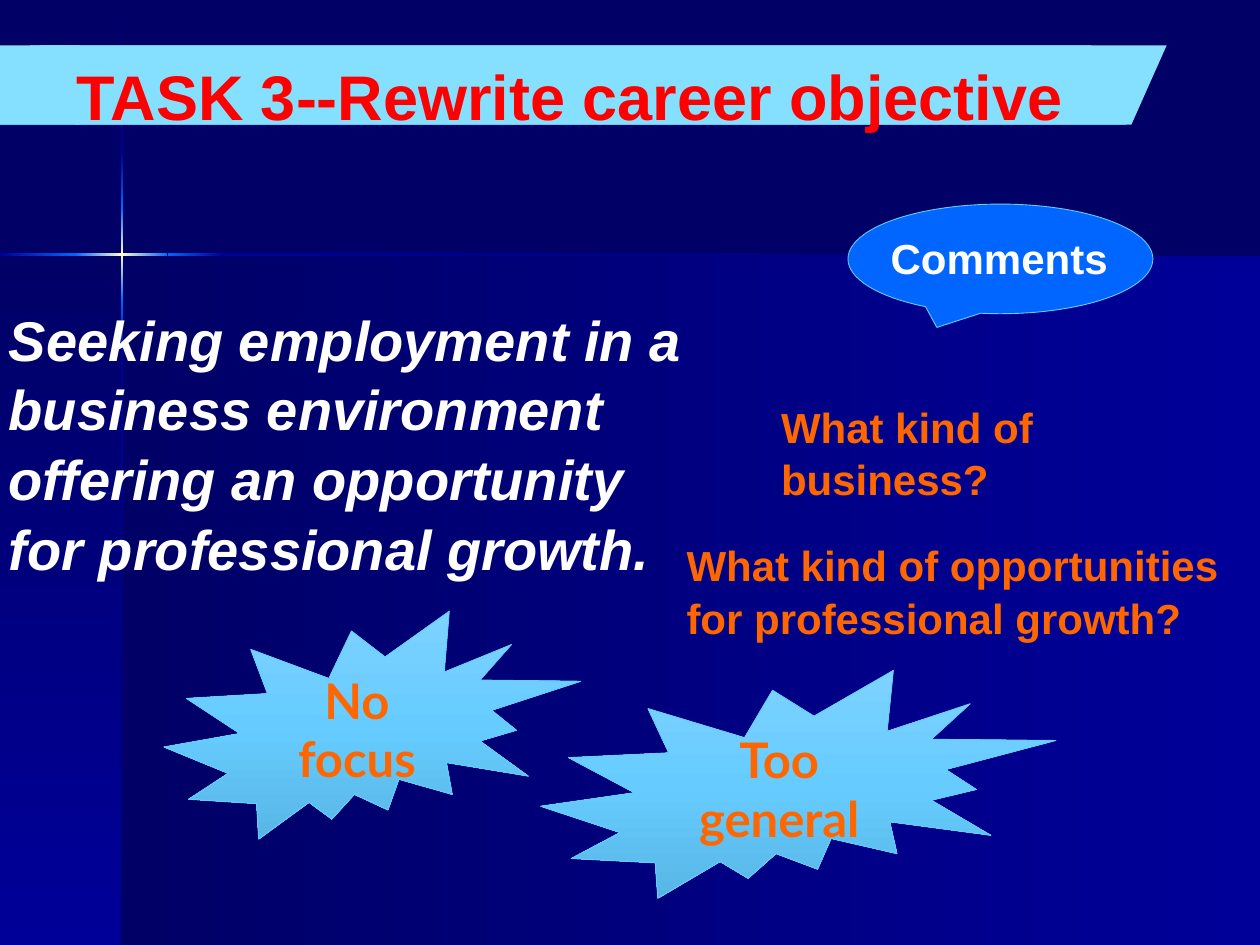
from lxml.etree import SubElement
from pptx import Presentation
from pptx.dml.color import RGBColor
from pptx.enum.shapes import MSO_SHAPE
from pptx.enum.text import MSO_ANCHOR, MSO_AUTO_SIZE, PP_ALIGN
from pptx.oxml.ns import qn
from pptx.util import Pt

PIXEL = 9144
NAVY = RGBColor(0x00, 0x00, 0x66)
INDIGO = RGBColor(0x00, 0x00, 0x99)
BLUE = RGBColor(0x00, 0x66, 0xFF)
CREAM = RGBColor(0xFF, 0xFF, 0xCC)
AQUA = RGBColor(0x85, 0xDF, 0xFF)
SKY = RGBColor(0x66, 0xCC, 0xFF)
SKY_LIGHT = RGBColor(0x7D, 0xD2, 0xFF)
SKY_DARK = RGBColor(0x58, 0xB6, 0xE5)
RED = RGBColor(0xFF, 0x00, 0x00)
WHITE = RGBColor(0xFF, 0xFF, 0xFF)
ORANGE = RGBColor(0xFF, 0x66, 0x00)


def to_emu(box):
    """Turn a box of px into EMU lengths."""
    return [length * PIXEL for length in box]


def add_outline(page, kind, box, line=None):
    """Add a preset shape without shadow, with an optional thin line."""
    shape = page.shapes.add_shape(kind, *to_emu(box))
    shape.shadow.inherit = False
    if line is None:
        shape.line.fill.background()
    else:
        shape.line.color.rgb = line
        shape.line.width = Pt(0.5)
    return shape


def fill_solid(shape, color):
    """Fill a shape with one colour."""
    shape.fill.solid()
    shape.fill.fore_color.rgb = color


def fill_gradient(shape, colors, downward):
    """Fill a shape with evenly spaced colours, running right or down."""
    shape.fill.gradient()
    shape.fill.gradient_angle = 270 if downward else 0
    stops = shape.element.spPr.find(qn("a:gradFill")).find(qn("a:gsLst"))
    for stop in list(stops):
        stops.remove(stop)
    for index, color in enumerate(colors):
        position = 100000 * index // (len(colors) - 1)
        stop = SubElement(stops, qn("a:gs"), pos=str(position))
        SubElement(stop, qn("a:srgbClr"), val=str(color))


def write_text(shape, text, size, color, font="Arial", italic=False,
               align=PP_ALIGN.LEFT, anchor=MSO_ANCHOR.TOP, spacing=1.04):
    """Write one bold paragraph into a shape."""
    frame = shape.text_frame
    frame.text = text
    frame.word_wrap = True
    frame.auto_size = MSO_AUTO_SIZE.NONE
    frame.vertical_anchor = anchor
    para = frame.paragraphs[0]
    para.alignment = align
    para.line_spacing = spacing
    para.space_before = Pt(0)
    span = para.runs[0]
    span.font.name = font
    span.font.size = Pt(size)
    span.font.bold = True
    span.font.italic = italic
    span.font.color.rgb = color


def add_backdrop(page, box):
    """Draw the two panels and the glowing cross on the page."""
    left, top, width, height = box
    column, row = left + 97, top + 202
    right, bottom = left + width, top + height
    cross_x, cross_y = column - 1, row - 1
    panels = [
        ((column, row, right - column, bottom - row), False),
        ((left, row, column - left, bottom - row), True),
    ]
    for panel, downward in panels:
        shape = add_outline(page, MSO_SHAPE.RECTANGLE, panel)
        fill_gradient(shape, (NAVY, INDIGO), downward)
    vertical = [
        (top + 1, top + 121, (NAVY, INDIGO)),
        (top + 282, bottom, (INDIGO, NAVY)),
        (top + 238, top + 282, (BLUE, INDIGO)),
        (top + 121, top + 165, (INDIGO, BLUE)),
        (top + 165, top + 238, (BLUE, CREAM, BLUE)),
    ]
    horizontal = [
        (left + 177, right, (INDIGO, NAVY)),
        (left, left + 61, (INDIGO, BLUE)),
        (left + 133, left + 177, (BLUE, INDIGO)),
        (left + 60, left + 133, (BLUE, CREAM, BLUE)),
    ]
    for start, end, colors in vertical:
        ray = add_outline(page, MSO_SHAPE.RECTANGLE, (cross_x, start, 2, end - start))
        fill_gradient(ray, colors, True)
    for start, end, colors in horizontal:
        ray = add_outline(page, MSO_SHAPE.RECTANGLE, (start, cross_y, end - start, 2))
        fill_gradient(ray, colors, False)


def add_banner(page, box):
    """Draw the slanted title banner from its overlapping parts."""
    left, top, width, height = box
    parts = [
        (MSO_SHAPE.PARALLELOGRAM, 0, width, False),
        (MSO_SHAPE.RECTANGLE, 0, 67, False),
        (MSO_SHAPE.PARALLELOGRAM, 36, width - 68, True),
    ]
    for kind, offset, part_width, mirrored in parts:
        part = add_outline(page, kind, (left + offset, top, part_width, height))
        fill_solid(part, AQUA)
        if kind == MSO_SHAPE.PARALLELOGRAM:
            part.adjustments[0] = 0.445
        if mirrored:
            part.element.spPr.find(qn("a:xfrm")).set("flipH", "1")


def place_placeholder(page, index, box, text, size, color, italic=False):
    """Move a placeholder to the front and fill it without a bullet."""
    holder = page.placeholders[index]
    holder.left, holder.top, holder.width, holder.height = to_emu(box)
    page.shapes.element.append(holder.element)
    write_text(holder, text, size, color, italic=italic)
    holder.text_frame.margin_top = 7 * PIXEL
    properties = holder.text_frame.paragraphs[0]._p.get_or_add_pPr()
    properties.set("marL", "0")
    properties.set("indent", "0")
    SubElement(properties, qn("a:buNone"))


def add_label(page, box, text, color, wrap=True):
    """Add a text box with one label."""
    label = page.shapes.add_textbox(*to_emu(box))
    write_text(label, text, 24, color)
    label.text_frame.word_wrap = wrap


def add_callout(page, box, text):
    """Draw the speech bubble with its label."""
    left, top, width, height = box
    fill_solid(add_outline(page, MSO_SHAPE.OVAL_CALLOUT, box, SKY), BLUE)
    add_label(page, (left + 24, top + 16, width - 50, 50), text, WHITE, wrap=False)


def add_burst(page, box, text):
    """Draw a starburst with a centred verdict."""
    burst = add_outline(page, MSO_SHAPE.EXPLOSION2, box, SKY)
    fill_gradient(burst, (SKY_LIGHT, SKY, SKY_DARK), True)
    write_text(burst, text, 28, ORANGE, font="Lato", align=PP_ALIGN.CENTER,
               anchor=MSO_ANCHOR.MIDDLE, spacing=1.0)


def main():
    """Build the slide and save the deck."""
    deck = Presentation()
    deck.slide_width, deck.slide_height = to_emu((1000, 750))
    page = deck.slides.add_slide(deck.slide_layouts[1])
    fill_solid(page.background, NAVY)
    add_backdrop(page, (0, 0, 1000, 750))
    add_banner(page, (-4, 36, 930, 63))
    place_placeholder(page, 0, (51, 36, 819, 131),
                      "TASK 3--Rewrite career objective", 36, RED)
    place_placeholder(page, 1, (-3, 233, 575, 225),
                      "Seeking employment in a business environment offering "
                      "an opportunity for professional growth.", 32, WHITE, italic=True)
    add_callout(page, (673, 162, 242, 87), "Comments")
    add_label(page, (610, 312, 368, 51), "What kind of business?", ORANGE)
    add_label(page, (535, 422, 465, 91),
              "What kind of opportunities for professional growth?", ORANGE)
    add_burst(page, (130, 485, 331, 181), "No focus")
    add_burst(page, (429, 532, 409, 181), "Too general")
    deck.save("out.pptx")


if __name__ == "__main__":
    main()
